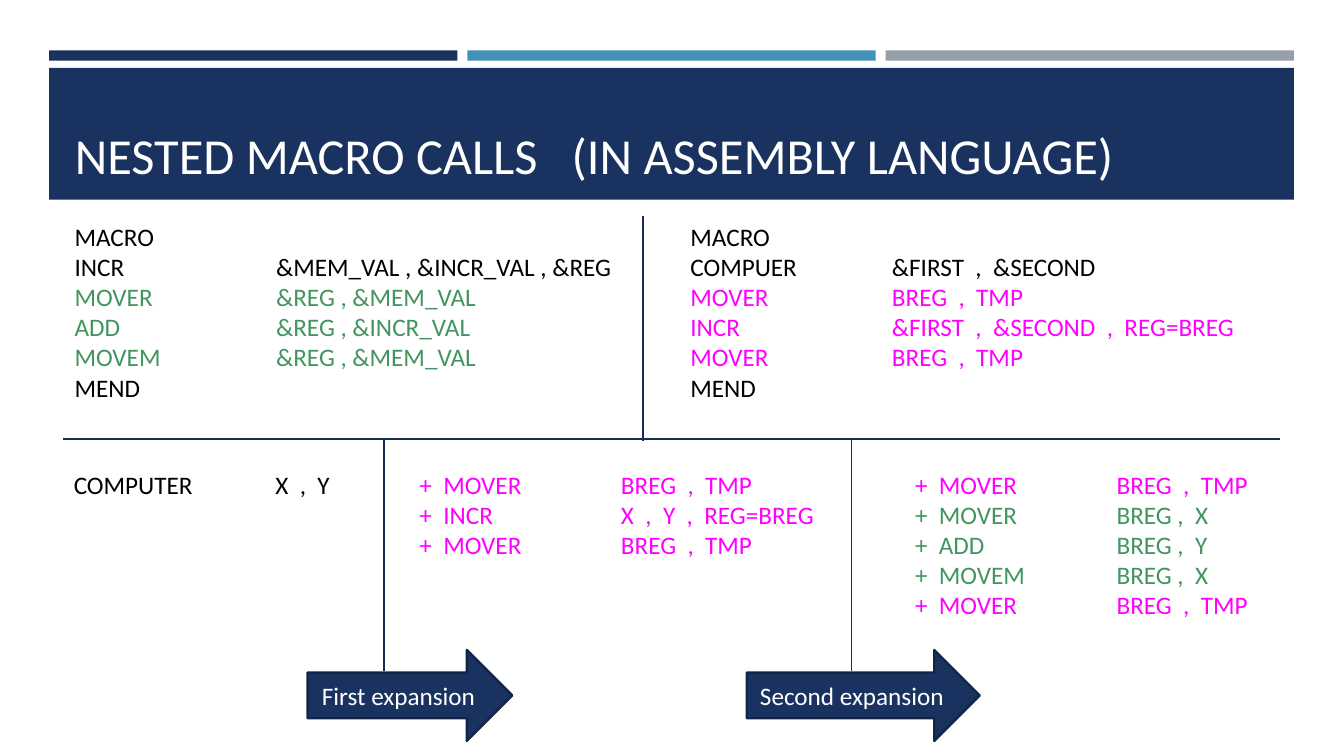
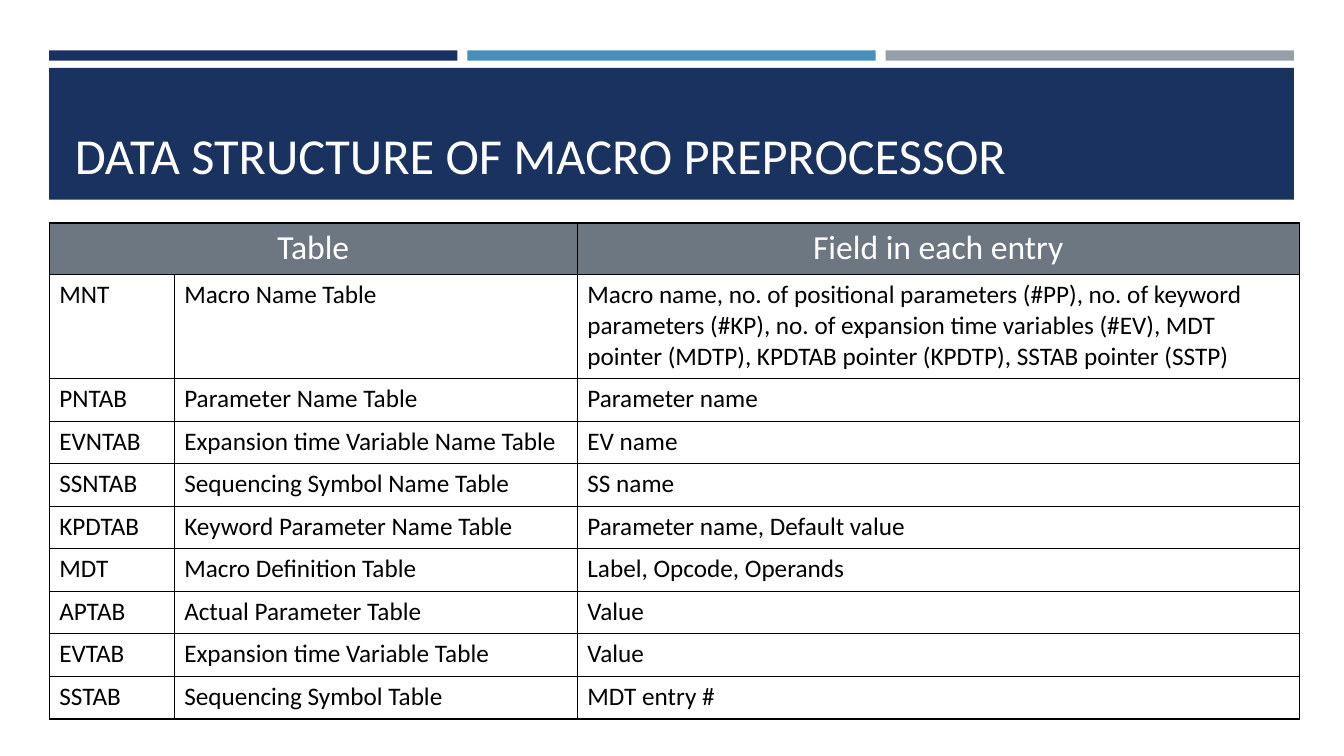
from lxml.etree import SubElement
from pptx import Presentation
from pptx.dml.color import RGBColor
from pptx.enum.shapes import MSO_CONNECTOR, MSO_SHAPE
from pptx.enum.text import MSO_ANCHOR, MSO_AUTO_SIZE, PP_ALIGN
from pptx.oxml.ns import qn
from pptx.util import Cm, Pt

FONT = "Calibri"
NAVY = RGBColor(0x1A, 0x32, 0x60)
BLUE = RGBColor(0x45, 0x90, 0xB8)
GRAY = RGBColor(0x96, 0x9F, 0xA7)
SLATE = RGBColor(0x6C, 0x77, 0x81)
RULE = RGBColor(0x17, 0x2D, 0x56)
EDGE = RGBColor(0x13, 0x25, 0x47)
WHITE = RGBColor(0xFF, 0xFF, 0xFF)
BLACK = RGBColor(0, 0, 0)
GREEN = RGBColor(0x42, 0x95, 0x5F)
PINK = RGBColor(0xFF, 0, 0xFF)

OPERAND_TAB = Cm(5.08)
BAND_GAP = 0.25
ARROW_REACH = 3.23
ARROW_HEIGHT = 2.29

INCR_MACRO = [
    (BLACK, "MACRO"),
    (BLACK, "INCR\t&MEM_VAL , &INCR_VAL , &REG"),
    (GREEN, "MOVER\t&REG , &MEM_VAL"),
    (GREEN, "ADD\t&REG , &INCR_VAL"),
    (GREEN, "MOVEM\t&REG , &MEM_VAL"),
    (BLACK, "MEND"),
]
COMPUTER_MACRO = [
    (BLACK, "MACRO"),
    (BLACK, "COMPUER\t&FIRST  ,  &SECOND"),
    (PINK, "MOVER\tBREG  ,  TMP"),
    (PINK, "INCR\t&FIRST  ,  &SECOND  ,  REG=BREG"),
    (PINK, "MOVER\tBREG  ,  TMP"),
    (BLACK, "MEND"),
]
CALL = [(BLACK, "COMPUTER\tX  ,  Y")]
FIRST_EXPANSION = [
    (PINK, "+  MOVER\tBREG  ,  TMP"),
    (PINK, "+  INCR\tX  ,  Y  ,  REG=BREG"),
    (PINK, "+  MOVER\tBREG  ,  TMP"),
]
SECOND_EXPANSION = [
    (PINK, "+  MOVER\tBREG  ,  TMP"),
    (GREEN, "+  MOVER\tBREG ,  X"),
    (GREEN, "+  ADD\tBREG ,  Y"),
    (GREEN, "+  MOVEM\tBREG ,  X"),
    (PINK, "+  MOVER\tBREG  ,  TMP"),
]
TABLES = [
    ("MNT", "Macro Name Table",
     "Macro name, no. of positional parameters (#PP), no. of keyword "
     "parameters (#KP), no. of expansion time variables (#EV), MDT pointer "
     "(MDTP), KPDTAB pointer (KPDTP), SSTAB pointer (SSTP)"),
    ("PNTAB", "Parameter Name Table", "Parameter name"),
    ("EVNTAB", "Expansion time Variable Name Table", "EV name"),
    ("SSNTAB", "Sequencing Symbol Name Table", "SS name"),
    ("KPDTAB", "Keyword Parameter Name Table", "Parameter name, Default value"),
    ("MDT", "Macro Definition Table", "Label, Opcode, Operands"),
    ("APTAB", "Actual Parameter Table", "Value"),
    ("EVTAB", "Expansion time Variable Table", "Value"),
    ("SSTAB", "Sequencing Symbol Table", "MDT entry #"),
]


def style(p, size, color, align=PP_ALIGN.LEFT):
    p.alignment = align
    p.font.name = FONT
    p.font.size = Pt(size)
    p.font.bold = False
    p.font.color.rgb = color


def add_filled(s, kind, left, top, width, height, color):
    sp = s.shapes.add_shape(kind, Cm(left), Cm(top), Cm(width), Cm(height))
    sp.shadow.inherit = False
    sp.fill.solid()
    sp.fill.fore_color.rgb = color
    sp.line.fill.background()
    return sp


def add_rule(s, x1, y1, x2, y2):
    line = s.shapes.add_connector(
        MSO_CONNECTOR.STRAIGHT, Cm(x1), Cm(y1), Cm(x2), Cm(y2))
    line.line.color.rgb = RULE
    line.line.width = Pt(1)
    SubElement(line.element.spPr, qn("a:effectLst"))


def dress_layout(layout, s, left, top, width):
    band_width = (width - 2 * BAND_GAP) / 3
    parts = [
        add_filled(s, MSO_SHAPE.RECTANGLE, left + i * (band_width + BAND_GAP),
                   top, band_width, 0.26, color)
        for i, color in enumerate((NAVY, BLUE, GRAY))
    ]
    parts.append(add_filled(s, MSO_SHAPE.RECTANGLE, left, top + 0.44,
                            width, 3.32, NAVY))
    for sp in parts:
        layout.shapes.element.append(sp.element)
    title = layout.placeholders[0]
    title.left, title.top = Cm(left + 0.39), Cm(top + 0.69)
    title.width, title.height = Cm(30.63), Cm(2.82)


def set_title(s, text):
    tf = s.shapes.title.text_frame
    tf.text = text
    tf.vertical_anchor = MSO_ANCHOR.BOTTOM
    tf.auto_size = MSO_AUTO_SIZE.NONE
    style(tf.paragraphs[0], 36, WHITE)


def add_listing(s, left, top, width, height, lines):
    sp = s.shapes.add_textbox(Cm(left), Cm(top), Cm(width), Cm(height))
    tf = sp.text_frame
    tf.word_wrap = True
    for i, (color, text) in enumerate(lines):
        p = tf.add_paragraph() if i else tf.paragraphs[0]
        p.text = text
        tabs = SubElement(p._p.get_or_add_pPr(), qn("a:tabLst"))
        SubElement(tabs, qn("a:tab"), pos=str(OPERAND_TAB), algn="l")
        style(p, 18, color)


def add_expansion(s, left, top, width, height, arrow_width, indent, label, lines):
    divider = left + arrow_width - ARROW_REACH
    text_left = divider + indent
    add_listing(s, text_left, top + 0.61, left + width - text_left, 4.11, lines)
    add_rule(s, divider, top, divider, top + 5.82)
    arrow = add_filled(s, MSO_SHAPE.RIGHT_ARROW, left, top + height - ARROW_HEIGHT,
                       arrow_width, ARROW_HEIGHT, NAVY)
    arrow.line.color.rgb = EDGE
    arrow.line.width = Pt(1.75)
    tf = arrow.text_frame
    tf.text = label
    tf.vertical_anchor = MSO_ANCHOR.MIDDLE
    style(tf.paragraphs[0], 18, WHITE, PP_ALIGN.CENTER)


def add_borders(cell):
    tcPr = cell._tc.get_or_add_tcPr()
    for side in ("lnL", "lnR", "lnT", "lnB"):
        ln = SubElement(tcPr, qn("a:" + side), w=str(Pt(1)))
        fill = SubElement(ln, qn("a:solidFill"))
        SubElement(fill, qn("a:srgbClr"), val=str(BLACK))


def add_field_table(s, left, top, width, height):
    rows = [("Table", "", "Field in each entry")] + TABLES
    tbl = s.shapes.add_table(len(rows), 3, Cm(left), Cm(top),
                             Cm(width), Cm(height)).table
    tbl.first_row = tbl.horz_banding = False
    names = (3.15, 10.16)
    for col, w in zip(tbl.columns, (*names, width - sum(names))):
        col.width = Cm(w)
    tall = (1.3, 2.62)
    plain = (height - sum(tall)) / (len(rows) - 2)
    for i, texts in enumerate(rows):
        tbl.rows[i].height = Cm(tall[i] if i < 2 else plain)
        for j, text in enumerate(texts):
            cell = tbl.cell(i, j)
            cell.text = text
            add_borders(cell)
            p = cell.text_frame.paragraphs[0]
            if i:
                cell.fill.background()
                style(p, 18, BLACK)
            else:
                cell.fill.solid()
                cell.fill.fore_color.rgb = SLATE
                style(p, 24, WHITE, PP_ALIGN.CENTER)
    tbl.cell(0, 0).merge(tbl.cell(0, 1))


def fill_macro_slide(s):
    set_title(s, "NESTED MACRO CALLS   (IN ASSEMBLY LANGUAGE)")
    add_listing(s, 1.63, 5.44, 14.58, 4.88, INCR_MACRO)
    add_listing(s, 17.15, 5.44, 15.1, 4.88, COMPUTER_MACRO)
    add_listing(s, 1.61, 11.69, 7.29, 1.02, CALL)
    add_rule(s, 1.6, 11.06, 32.26, 11.06)
    add_rule(s, 16.2, 5.44, 16.2, 11.1)
    add_expansion(s, 7.75, 11.08, 13.64, 7.59, 5.16, 0.64,
                  "First expansion", FIRST_EXPANSION)
    add_expansion(s, 18.82, 11.08, 13.2, 7.59, 5.87, 1.35,
                  "Second expansion", SECOND_EXPANSION)


def fill_table_slide(s):
    set_title(s, "DATA STRUCTURE OF MACRO PREPROCESSOR")
    add_field_table(s, 1.24, 5.62, 31.5, 12.5)


def main():
    prs = Presentation()
    prs.slide_width, prs.slide_height = Cm(33.87), Cm(19.05)
    layout = prs.slide_layouts[5]
    macros, tables = (prs.slides.add_slide(layout) for _ in range(2))
    dress_layout(layout, macros, 1.24, 1.27, 31.37)
    fill_macro_slide(macros)
    fill_table_slide(tables)
    prs.save("out.pptx")


if __name__ == "__main__":
    main()
